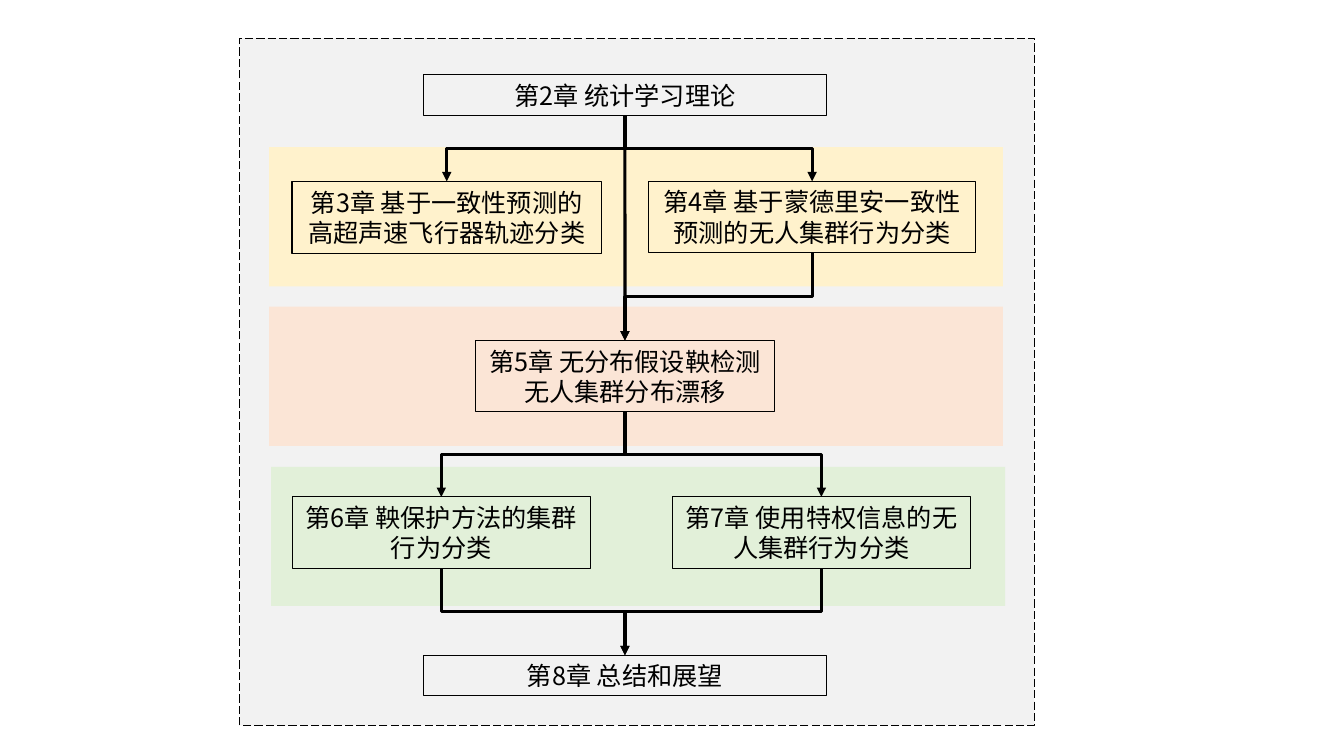
import pptx
import pptx.util
import pptx.dml.color
import pptx.enum.dml
import pptx.enum.shapes
import pptx.enum.text
import pptx.oxml.ns
import lxml.etree

Pt = pptx.util.Pt
RGB = pptx.dml.color.RGBColor
BLACK = RGB(0x00, 0x00, 0x00)
GREY = RGB(0xF2, 0xF2, 0xF2)
YELLOW = RGB(0xFF, 0xF2, 0xCC)
ORANGE = RGB(0xFB, 0xE5, 0xD6)
GREEN = RGB(0xE2, 0xF0, 0xD9)
FONT = "Noto Sans CJK SC"
TOP, BOTTOM = 0, 2  # connection sites of a rectangle

# Background bands: left, top, colour
BANDS = [(193.7, 333.4, GREEN), (192.2, 219.1, ORANGE), (192.2, 105.1, YELLOW)]

# Chapter boxes: left, top, width, height, text
BOXES = {
    2: (302.4, 53.5, 288, 29.1, "第2章 统计学习理论"),
    3: (208.6, 129.6, 221, 51.8, "第3章 基于一致性预测的高超声速飞行器轨迹分类"),
    4: (463.4, 129.6, 233.3, 50.9, "第4章 基于蒙德里安一致性预测的无人集群行为分类"),
    5: (339.8, 243.2, 213.2, 50.9, "第5章 无分布假设鞅检测无人集群分布漂移"),
    6: (208.6, 355, 213.2, 50.9, "第6章 鞅保护方法的集群行为分类"),
    7: (480.1, 355, 213.2, 50.9, "第7章 使用特权信息的无人集群行为分类"),
    8: (302.4, 468, 288, 29.1, "第8章 总结和展望"),
}

# Arrows between chapters
LINKS = [(2, 3), (2, 4), (2, 5), (4, 5), (5, 6), (5, 7), (6, 8), (7, 8)]


def add_rect(slide, left, top, width, height, fill=None, line=None):
    kind = pptx.enum.shapes.MSO_SHAPE.RECTANGLE
    rect = slide.shapes.add_shape(kind, Pt(left), Pt(top), Pt(width), Pt(height))
    rect.shadow.inherit = False
    if fill is None:
        rect.fill.background()
    else:
        rect.fill.solid()
        rect.fill.fore_color.rgb = fill
    if line is None:
        rect.line.fill.background()
    else:
        rect.line.color.rgb = line
        rect.line.width = Pt(0.75)
    return rect


def add_box(slide, left, top, width, height, text):
    box = add_rect(slide, left, top, width, height, line=BLACK)
    frame = box.text_frame
    frame.word_wrap = True
    frame.auto_size = pptx.enum.text.MSO_AUTO_SIZE.SHAPE_TO_FIT_TEXT
    frame.text = text
    para = frame.paragraphs[0]
    para.alignment = pptx.enum.text.PP_ALIGN.CENTER
    font = para.runs[0].font
    font.size = Pt(18)
    font.name = FONT
    font.color.rgb = BLACK
    east = lxml.etree.SubElement(font._element, pptx.oxml.ns.qn("a:ea"))
    east.set("typeface", FONT)
    return box


def turn(link, span, drop):
    """Rotate an elbow so that it leaves and arrives vertically."""
    mid_x = link.left + link.width // 2
    mid_y = link.top + link.height // 2
    link.width, link.height = drop, abs(span)
    link.left = mid_x - drop // 2
    link.top = mid_y - abs(span) // 2
    xfrm = link._element.spPr.find(pptx.oxml.ns.qn("a:xfrm"))
    xfrm.attrib.pop("flipH", None)
    xfrm.set("rot", str((90 if span < 0 else 270) * 60000))
    if span > 0:
        xfrm.set("flipH", "1")


def add_link(slide, start, end):
    kinds = pptx.enum.shapes.MSO_CONNECTOR
    span = end.left + end.width // 2 - start.left - start.width // 2
    drop = end.top - start.top - start.height
    straight = abs(span) < Pt(1)
    kind = kinds.STRAIGHT if straight else kinds.ELBOW
    link = slide.shapes.add_connector(kind, 0, 0, 0, 0)
    link.begin_connect(start, BOTTOM)
    link.end_connect(end, TOP)
    if not straight:
        turn(link, span, drop)
    link.line.color.rgb = BLACK
    link.line.width = Pt(2.25)
    # Arrowhead, and no shadow
    qn = pptx.oxml.ns.qn
    tail = lxml.etree.SubElement(link.line._get_or_add_ln(), qn("a:tailEnd"))
    tail.set("type", "triangle")
    lxml.etree.SubElement(link._element.spPr, qn("a:effectLst"))


def main():
    deck = pptx.Presentation()
    deck.slide_width, deck.slide_height = Pt(960), Pt(540)
    slide = deck.slides.add_slide(deck.slide_layouts[6])

    # Dashed frame and coloured bands
    frame = add_rect(slide, 171.4, 27.2, 567.4, 491, GREY, BLACK)
    frame.line.dash_style = pptx.enum.dml.MSO_LINE.LONG_DASH
    for left, top, fill in BANDS:
        add_rect(slide, left, top, 524.2, 99.4, fill)

    # Chapters and the arrows that join them
    boxes = {num: add_box(slide, *data) for num, data in BOXES.items()}
    for start, end in LINKS:
        add_link(slide, boxes[start], boxes[end])

    deck.save("out.pptx")


if __name__ == "__main__":
    main()
